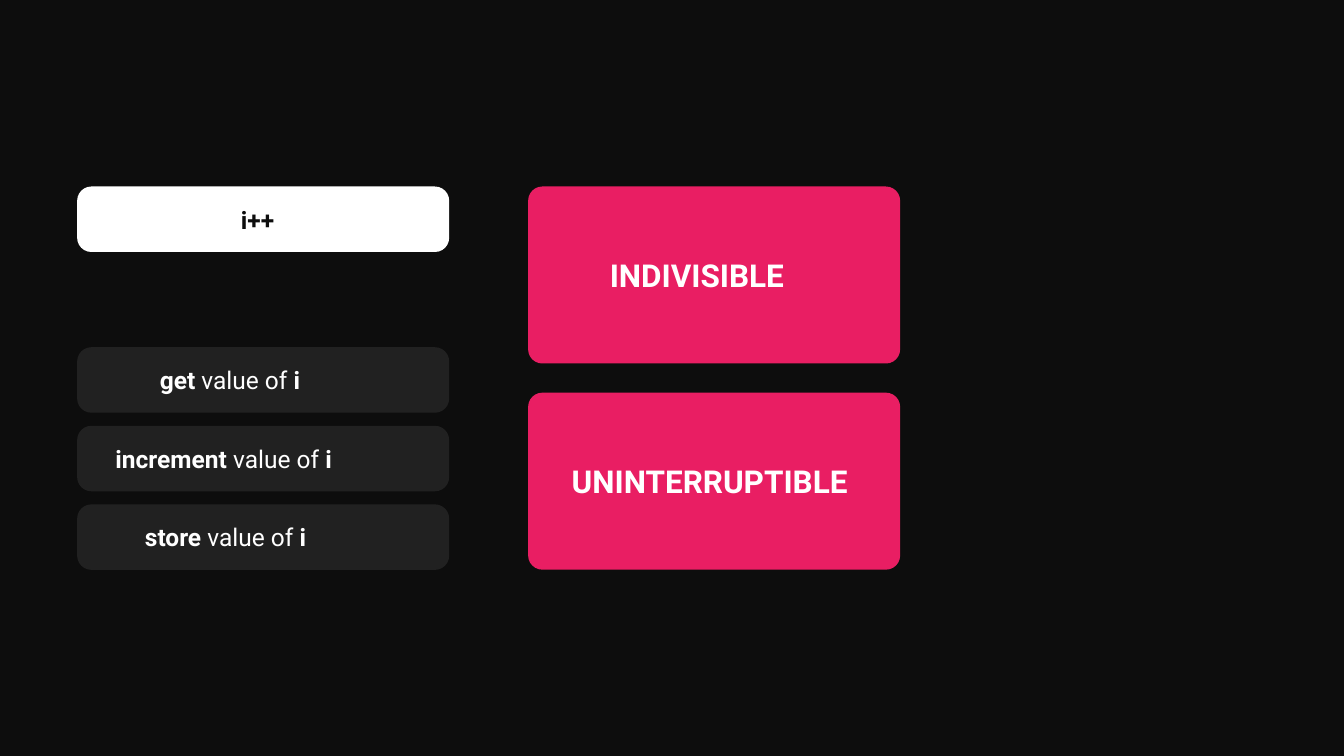
"""Build a slide that sets the steps of i++ beside the two traits of an atomic operation."""
from dataclasses import dataclass

from pptx import Presentation
from pptx import util as u
from pptx.dml.color import RGBColor
from pptx.enum import shapes, text


@dataclass(frozen=True)
class Theme:
    font: str = "Roboto"
    dark: str = "0D0D0D"
    light: str = "FFFFFF"
    panel: str = "212121"
    accent: str = "E91E63"
    step_size: int = 35
    trait_size: int = 45
    space_before: int = 34
    radius: float = 0.715
    inset: float = 0.15


@dataclass(frozen=True)
class Run:
    text: str
    bold: bool = True


@dataclass(frozen=True)
class Card:
    left: float
    top: float
    height: float
    fill: str
    ink: str
    size: int
    caption_width: float
    caption_height: float
    runs: tuple[Run, ...]


THEME = Theme()
CARD_WIDTH = 18.75
LEFT, RIGHT, TOP = 3.89, 26.62, 9.4
STEP_HEIGHT, STEP_TOP, STEP_PITCH = 3.3, 17.5, 3.96
TRAIT_HEIGHT, TRAIT_PITCH = 8.92, 10.39
STEPS = (("get", 10.72), ("increment", 15.19), ("store", 12.22))
TRAITS = (("INDIVISIBLE", 10.82), ("UNINTERRUPTIBLE", 14.66))


def step_card(top: float, fill: str, ink: str, width: float, *runs: Run) -> Card:
    return Card(LEFT, top, STEP_HEIGHT, fill, ink, THEME.step_size, width, 1.98, runs)


def trait_card(top: float, label: str, width: float) -> Card:
    return Card(RIGHT, top, TRAIT_HEIGHT, THEME.accent, THEME.light,
                THEME.trait_size, width, 2.44, (Run(label),))


def draw_panel(s, card: Card) -> None:
    sp = s.shapes.add_shape(
        shapes.MSO_SHAPE.ROUNDED_RECTANGLE,
        u.Cm(card.left), u.Cm(card.top), u.Cm(CARD_WIDTH), u.Cm(card.height))
    sp.adjustments[0] = THEME.radius / card.height
    sp.shadow.inherit = False
    sp.fill.solid()
    sp.fill.fore_color.rgb = RGBColor.from_string(card.fill)
    sp.line.fill.background()


def draw_caption(s, card: Card) -> None:
    left = card.left + (CARD_WIDTH - card.caption_width) / 2
    top = card.top + (card.height - card.caption_height) / 2
    sp = s.shapes.add_textbox(
        u.Cm(left), u.Cm(top), u.Cm(card.caption_width), u.Cm(card.caption_height))
    tf = sp.text_frame
    frame_format = {
        "word_wrap": False,
        "auto_size": text.MSO_AUTO_SIZE.SHAPE_TO_FIT_TEXT,
        "vertical_anchor": text.MSO_ANCHOR.MIDDLE,
        **{f"margin_{side}": u.Cm(THEME.inset)
           for side in ("left", "top", "right", "bottom")},
    }
    for name, value in frame_format.items():
        setattr(tf, name, value)
    p = tf.paragraphs[0]
    p.space_before = u.Pt(THEME.space_before)
    for run in card.runs:
        r = p.add_run()
        r.text = run.text
        font_format = {"name": THEME.font, "size": u.Pt(card.size), "bold": run.bold}
        for name, value in font_format.items():
            setattr(r.font, name, value)
        r.font.color.rgb = RGBColor.from_string(card.ink)


def main() -> None:
    prs = Presentation()
    prs.slide_width, prs.slide_height = u.Cm(67.74), u.Cm(38.1)
    s = prs.slides.add_slide(prs.slide_layouts[6])
    s.background.fill.solid()
    s.background.fill.fore_color.rgb = RGBColor.from_string(THEME.dark)

    cards = [step_card(TOP, THEME.light, THEME.dark, 2.54, Run("i++"))]
    cards += [
        step_card(STEP_TOP + i * STEP_PITCH, THEME.panel, THEME.light, width,
                  Run(verb), Run(" value of ", False), Run("i"))
        for i, (verb, width) in enumerate(STEPS)]
    cards += [trait_card(TOP + i * TRAIT_PITCH, label, width)
              for i, (label, width) in enumerate(TRAITS)]
    for card in cards:
        draw_panel(s, card)
        draw_caption(s, card)
    prs.save("out.pptx")


if __name__ == "__main__":
    main()
